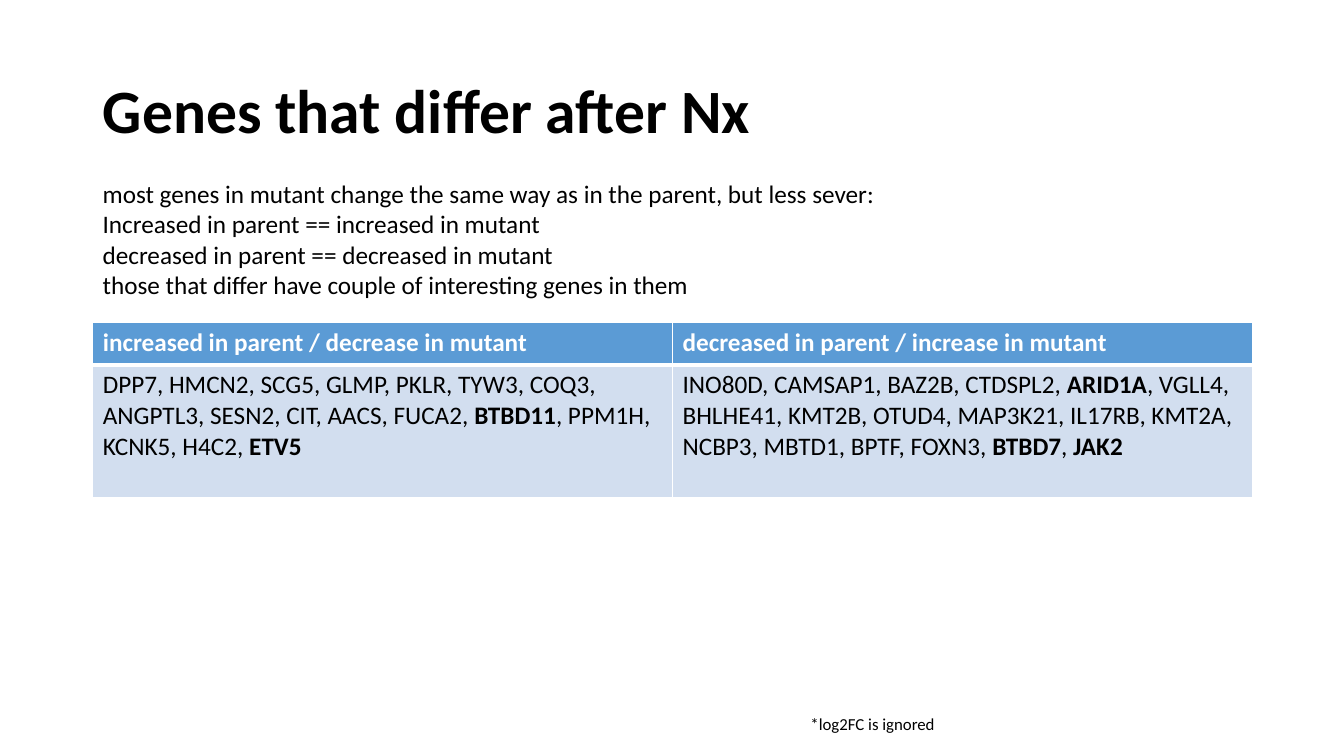
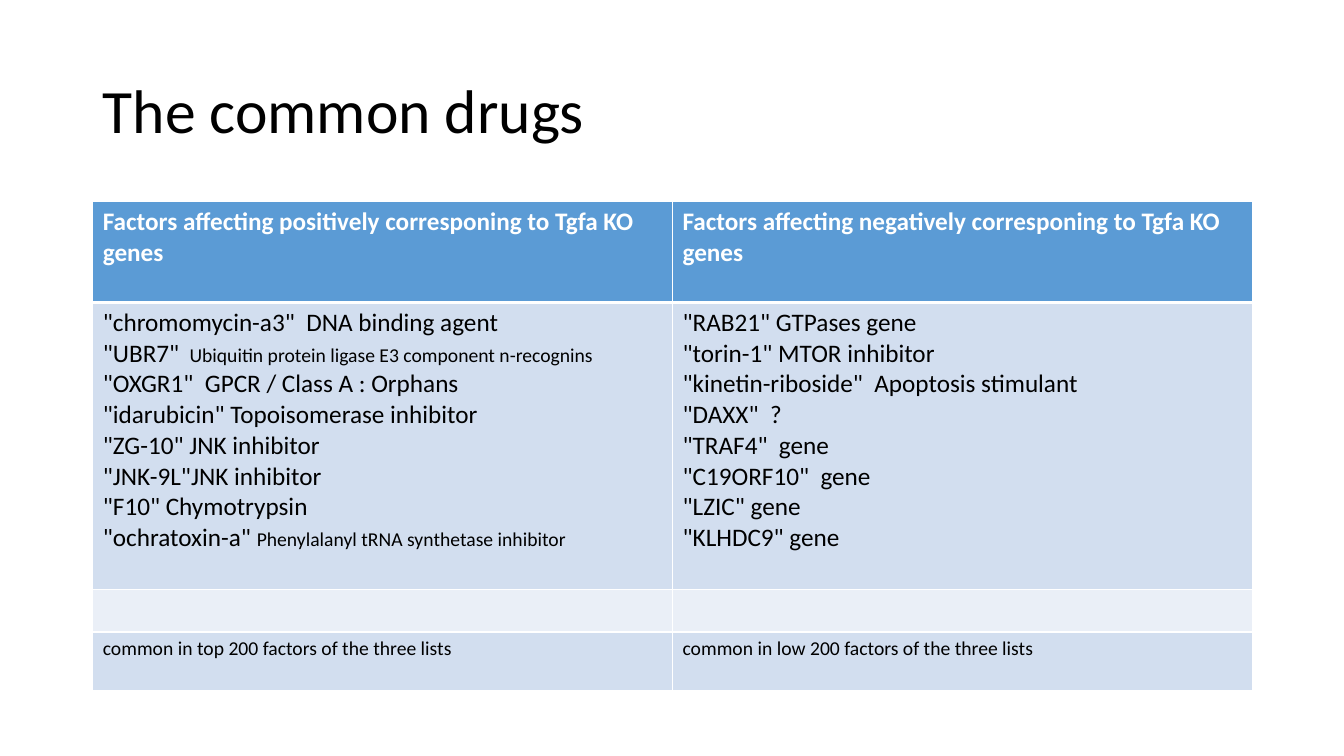
"""Build two slides, each with a title and a two-column table of genes or drugs."""
import pptx
import pptx.dml.color
import pptx.enum.text
import pptx.oxml
import pptx.oxml.ns
import pptx.util

BLACK = pptx.dml.color.RGBColor(0x00, 0x00, 0x00)
WHITE = pptx.dml.color.RGBColor(0xFF, 0xFF, 0xFF)
HEADER = pptx.dml.color.RGBColor(0x5B, 0x9B, 0xD5)
BANDS = [
    pptx.dml.color.RGBColor(0xEA, 0xEF, 0xF7),
    pptx.dml.color.RGBColor(0xD2, 0xDE, 0xEF),
]
FONT = "Calibri"
Inches = pptx.util.Inches
LEFT, WIDTH = Inches(0.92), Inches(11.5)


def write(tf, lines, size=18, color=BLACK, bold=False, alt_size=18, alt_bold=False):
    """Write one paragraph per line; text between bars takes the alternative format."""
    for i, line in enumerate(lines):
        p = tf.paragraphs[0] if i == 0 else tf.add_paragraph()
        for j, part in enumerate(line.split("|")):
            if not part:
                continue
            r = p.add_run()
            r.text = part
            r.font.name = FONT
            r.font.size = pptx.util.Pt(alt_size if j % 2 else size)
            r.font.bold = alt_bold if j % 2 else bold
            r.font.color.rgb = color


def set_borders(cell, widths):
    """Draw white cell borders; widths maps a side (L, R, T, B) to points."""
    tcPr = cell._tc.get_or_add_tcPr()
    for side, width in widths.items():
        tcPr.append(pptx.oxml.parse_xml(
            f'<a:ln{side} {pptx.oxml.ns.nsdecls("a")} w="{pptx.util.Pt(width)}">'
            f'<a:solidFill><a:srgbClr val="{WHITE}"/></a:solidFill></a:ln{side}>'
        ))


GENE_ROWS = [
    (0.42, 18, [
        ["increased in parent / decrease in mutant"],
        ["decreased in parent / increase in mutant"],
    ]),
    (1.32, 18, [
        ["DPP7, HMCN2, SCG5, GLMP, PKLR, TYW3, COQ3, ANGPTL3, SESN2, CIT, AACS, "
         "FUCA2, |BTBD11|, PPM1H, KCNK5, H4C2, |ETV5|"],
        ["INO80D, CAMSAP1, BAZ2B, CTDSPL2, |ARID1A|, VGLL4, BHLHE41, KMT2B, OTUD4, "
         "MAP3K21, IL17RB, KMT2A, NCBP3, MBTD1, BPTF, FOXN3, |BTBD7|, |JAK2|"],
    ]),
]
DRUG_ROWS = [
    (1.0, 18, [
        ["Factors affecting positively corresponing to Tgfa KO genes"],
        ["Factors affecting negatively corresponing to Tgfa KO genes"],
    ]),
    (2.85, 18, [
        [
            '"chromomycin-a3"  DNA binding agent',
            '"UBR7" | Ubiquitin protein ligase E3 component n-recognins|',
            '"OXGR1"  GPCR / Class A : Orphans',
            '"idarubicin" Topoisomerase inhibitor',
            '"ZG-10" JNK inhibitor',
            '"JNK-9L"JNK inhibitor',
            '"F10" Chymotrypsin',
            '"ochratoxin-a" |Phenylalanyl tRNA synthetase inhibitor|',
        ],
        [
            '"RAB21" GTPases gene',
            '"torin-1" MTOR inhibitor',
            '"kinetin-riboside"  Apoptosis stimulant',
            '"DAXX"  ?',
            '"TRAF4"  gene',
            '"C19ORF10"  gene',
            '"LZIC" gene',
            '"KLHDC9" gene',
        ],
    ]),
    (0.42, 18, [[], []]),
    (0.58, 14, [
        ["common in top 200 factors of the three lists"],
        ["common in low 200 factors of the three lists"],
    ]),
]
SLIDES = [
    ("Genes that differ after Nx", True, 3.2, GENE_ROWS, {"alt_bold": True}),
    ("The common drugs", False, 2.0, DRUG_ROWS, {"alt_size": 14}),
]
GENE_NOTES = [
    (0.92, 1.72, 9.36, 1.31, 18, [
        "most genes in mutant change the same way as in the parent, but less sever:",
        "Increased in parent == increased in mutant",
        "decreased in parent == decreased in mutant",
        "those that differ have couple of interesting genes in them",
    ]),
    (7.94, 7.03, 5.24, 0.3, 12, ["*log2FC is ignored"]),
]

prs = pptx.Presentation()
prs.slide_width, prs.slide_height = Inches(13.33), Inches(7.5)

for title, title_bold, top, rows, accent in SLIDES:
    s = prs.slides.add_slide(prs.slide_layouts[5])
    sp = s.shapes.title
    sp.left, sp.top, sp.width, sp.height = LEFT, Inches(0.4), WIDTH, Inches(1.45)
    tf = sp.text_frame
    tf.auto_size = pptx.enum.text.MSO_AUTO_SIZE.NONE
    tf.vertical_anchor = pptx.enum.text.MSO_ANCHOR.MIDDLE
    write(tf, [title], size=44, bold=title_bold)
    p = tf.paragraphs[0]
    p.alignment = pptx.enum.text.PP_ALIGN.LEFT
    p.line_spacing = 0.9

    height = Inches(sum(row[0] for row in rows))
    table = s.shapes.add_table(len(rows), 2, LEFT, Inches(top), WIDTH, height).table
    for r, (row_height, size, texts) in enumerate(rows):
        table.rows[r].height = Inches(row_height)
        for c, lines in enumerate(texts):
            cell = table.cell(r, c)
            set_borders(cell, {"L": 1, "R": 1, "T": 3 if r == 1 else 1, "B": 1 if r else 3})
            cell.fill.solid()
            cell.fill.fore_color.rgb = BANDS[r % 2] if r else HEADER
            write(cell.text_frame, lines, size, BLACK if r else WHITE, r == 0, **accent)

for left, top, width, height, size, lines in GENE_NOTES:
    sp = prs.slides[0].shapes.add_textbox(
        Inches(left), Inches(top), Inches(width), Inches(height))
    sp.text_frame.word_wrap = True
    write(sp.text_frame, lines, size)

prs.save("out.pptx")
